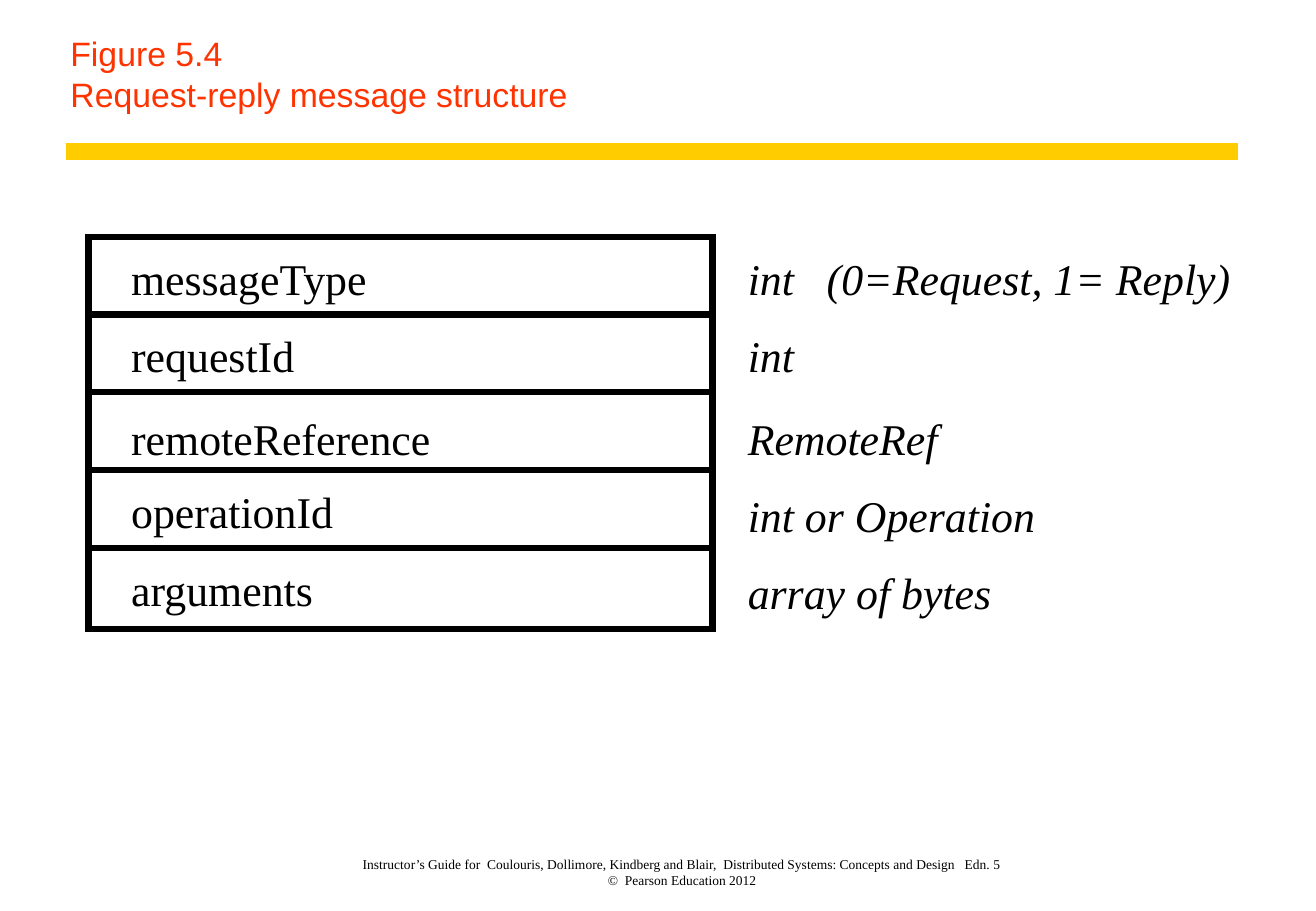
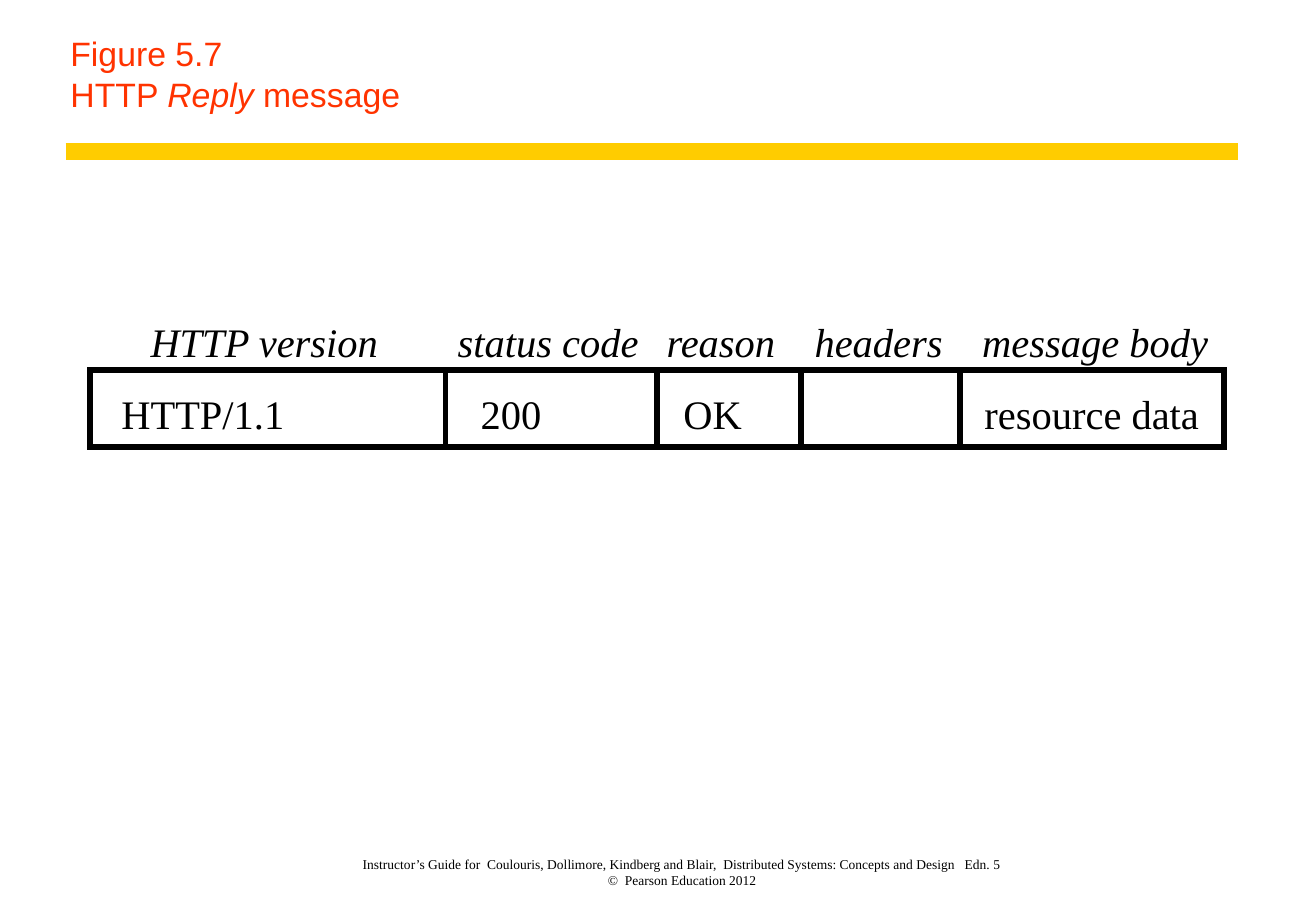
"""Build two figure slides on request-reply and HTTP reply messages."""
from lxml.etree import SubElement
from pptx import Presentation
from pptx.dml.color import RGBColor
from pptx.enum.shapes import MSO_CONNECTOR, MSO_SHAPE
from pptx.enum.text import MSO_ANCHOR, MSO_AUTO_SIZE, PP_ALIGN
from pptx.oxml.ns import qn
from pptx.util import Pt

PX = 9144
SLIDE_WIDTH, SLIDE_HEIGHT = 1084, 750
BLACK = RGBColor(0x00, 0x00, 0x00)
GOLD = RGBColor(0xFF, 0xCC, 0x00)
RED = RGBColor(0xFF, 0x33, 0x00)
SANS, SERIF = "Arial", "Times New Roman"

FOOTER = [
    [("Instructor’s Guide for  Coulouris, Dollimore, Kindberg and Blair,  "
      "Distributed Systems: Concepts and Design   Edn. 5", False)],
    [("©  Pearson Education 2012", False)],
]

REQUEST_TITLE = [[("Figure 5.4", False)], [("Request-reply message structure", False)]]
REQUEST_FRAME = (73, 195, 514, 323)
ROW_PITCH = 64
NAME_LEFT, TYPE_LEFT, TYPE_RIGHT = 108, 616, 1030
TYPE_TAB = 65
FIELDS = [
    ("messageType", 207, "int\t(0=Request, 1= Reply)", 207),
    ("requestId", 271, "int", 271),
    ("remoteReference", 339, "RemoteRef", 339),
    ("operationId", 399, "int or Operation", 402),
    ("arguments", 463, "array of bytes", 466),
]

REPLY_TITLE = [
    [("Figure 5.7", False)],
    [("HTTP ", False), ("Reply", True), (" message", False)],
]
REPLY_FRAME = (74, 305, 934, 63)
HEADING_TOP, VALUE_TOP = 261, 320
COLUMNS = [
    ("HTTP version", 124, "HTTP/1.1", 100, 367),
    ("status code", 377, "200", 396, 541),
    ("reason", 549, "OK", 563, 660),
    ("headers", 671, "", 671, 791),
    ("message body", 809, "resource data", 811, 1008),
]


def write_lines(text_frame, lines, font_name, size, color):
    """Write lines of (text, italic) runs into the first paragraph."""
    paragraph = text_frame.paragraphs[0]
    for index, line in enumerate(lines):
        if index:
            paragraph.add_line_break()
        for text, italic in line:
            run = paragraph.add_run()
            run.text = text
            run.font.name = font_name
            run.font.size = Pt(size)
            run.font.italic = italic
            run.font.color.rgb = color
    return paragraph


def set_margins(text_frame, left=0, top=0, right=0, bottom=0):
    """Set the inner margins of a text frame."""
    text_frame.margin_left, text_frame.margin_top = left * PX, top * PX
    text_frame.margin_right, text_frame.margin_bottom = right * PX, bottom * PX


def add_text(slide, left, top, width, height, lines, size, tab=None):
    """Add a serif text box without margins and return its paragraph."""
    box = slide.shapes.add_textbox(left * PX, top * PX, width * PX, height * PX)
    box.text_frame.word_wrap = True
    set_margins(box.text_frame)
    if tab:
        properties = box.text_frame.paragraphs[0]._p.get_or_add_pPr()
        tabs = SubElement(properties, qn("a:tabLst"))
        SubElement(tabs, qn("a:tab"), pos=str(tab * PX), algn="l")
    return write_lines(box.text_frame, lines, SERIF, size, BLACK)


def add_line(slide, start, end, color, weight):
    """Add a straight line without a shadow."""
    points = [value * PX for value in (*start, *end)]
    line = slide.shapes.add_connector(MSO_CONNECTOR.STRAIGHT, *points)
    line.line.color.rgb = color
    line.line.width = Pt(weight)
    SubElement(line._element.spPr, qn("a:effectLst"))


def add_frame(slide, bounds, weight):
    """Add an unfilled rectangle with square corners."""
    frame = slide.shapes.add_shape(MSO_SHAPE.RECTANGLE, *(value * PX for value in bounds))
    frame.shadow.inherit = False
    frame.fill.background()
    frame.line.color.rgb = BLACK
    frame.line.width = Pt(weight)
    SubElement(frame._element.spPr.find(qn("a:ln")), qn("a:miter"), lim="800000")


def add_figure_slide(presentation, title_lines):
    """Add a slide with the shared title, band and footer."""
    slide = presentation.slides.add_slide(presentation.slide_layouts[5])
    title = slide.shapes.title
    title.left, title.top, title.width, title.height = (
        value * PX for value in (48, 0, 972, 100))
    text_frame = title.text_frame
    text_frame.auto_size = MSO_AUTO_SIZE.NONE
    text_frame.vertical_anchor = MSO_ANCHOR.BOTTOM
    set_margins(text_frame, 10, 6, 14, 6)
    write_lines(text_frame, title_lines, SANS, 20, RED).alignment = PP_ALIGN.LEFT
    add_line(slide, (54, 125), (1020, 125), GOLD, 10)
    add_text(slide, 232, 705, 660, 26, FOOTER, 8).alignment = PP_ALIGN.CENTER
    return slide


def build_request_slide(presentation):
    """Draw the message fields as stacked rows with their types."""
    slide = add_figure_slide(presentation, REQUEST_TITLE)
    left, top, width, _ = REQUEST_FRAME
    add_frame(slide, REQUEST_FRAME, 3.75)
    for row, (name, name_top, kind, kind_top) in enumerate(FIELDS):
        if row:
            y = top + row * ROW_PITCH
            add_line(slide, (left, y), (left + width, y), BLACK, 3.75)
        add_text(slide, NAME_LEFT, name_top, left + width - NAME_LEFT, 43,
                 [[(name, False)]], 26)
        add_text(slide, TYPE_LEFT, kind_top, TYPE_RIGHT - TYPE_LEFT, 43,
                 [[(kind, True)]], 26, TYPE_TAB if "\t" in kind else None)


def build_reply_slide(presentation):
    """Draw the reply parts as columns with headings above."""
    slide = add_figure_slide(presentation, REPLY_TITLE)
    left, top, width, height = REPLY_FRAME
    add_frame(slide, REPLY_FRAME, 3.5)
    for heading, heading_left, value, value_left, right in COLUMNS:
        if right < left + width:
            add_line(slide, (right, top), (right, top + height), BLACK, 3.5)
        add_text(slide, heading_left, HEADING_TOP, right - heading_left, 40,
                 [[(heading, True)]], 24)
        if value:
            add_text(slide, value_left, VALUE_TOP, right - value_left, 40,
                     [[(value, False)]], 24)


def main():
    """Build and save the presentation."""
    presentation = Presentation()
    presentation.slide_width = SLIDE_WIDTH * PX
    presentation.slide_height = SLIDE_HEIGHT * PX
    build_request_slide(presentation)
    build_reply_slide(presentation)
    presentation.save("out.pptx")


if __name__ == "__main__":
    main()
